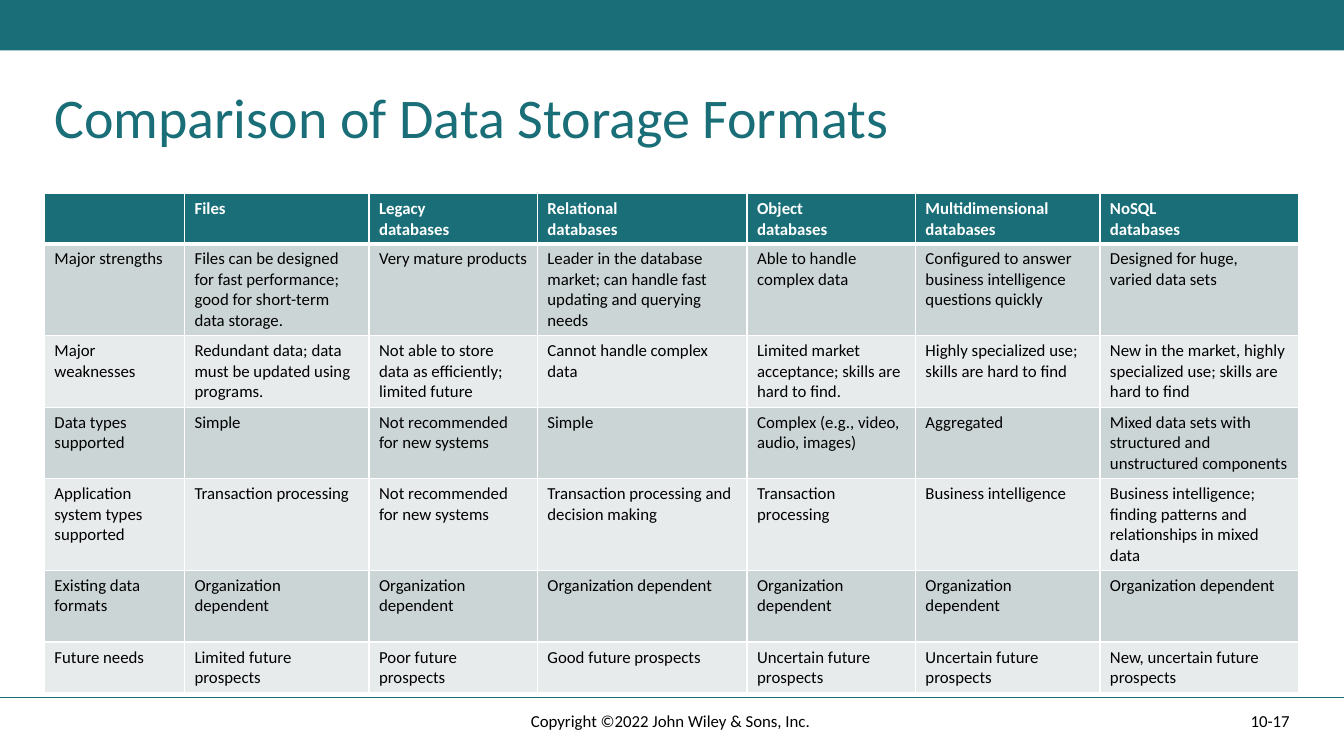
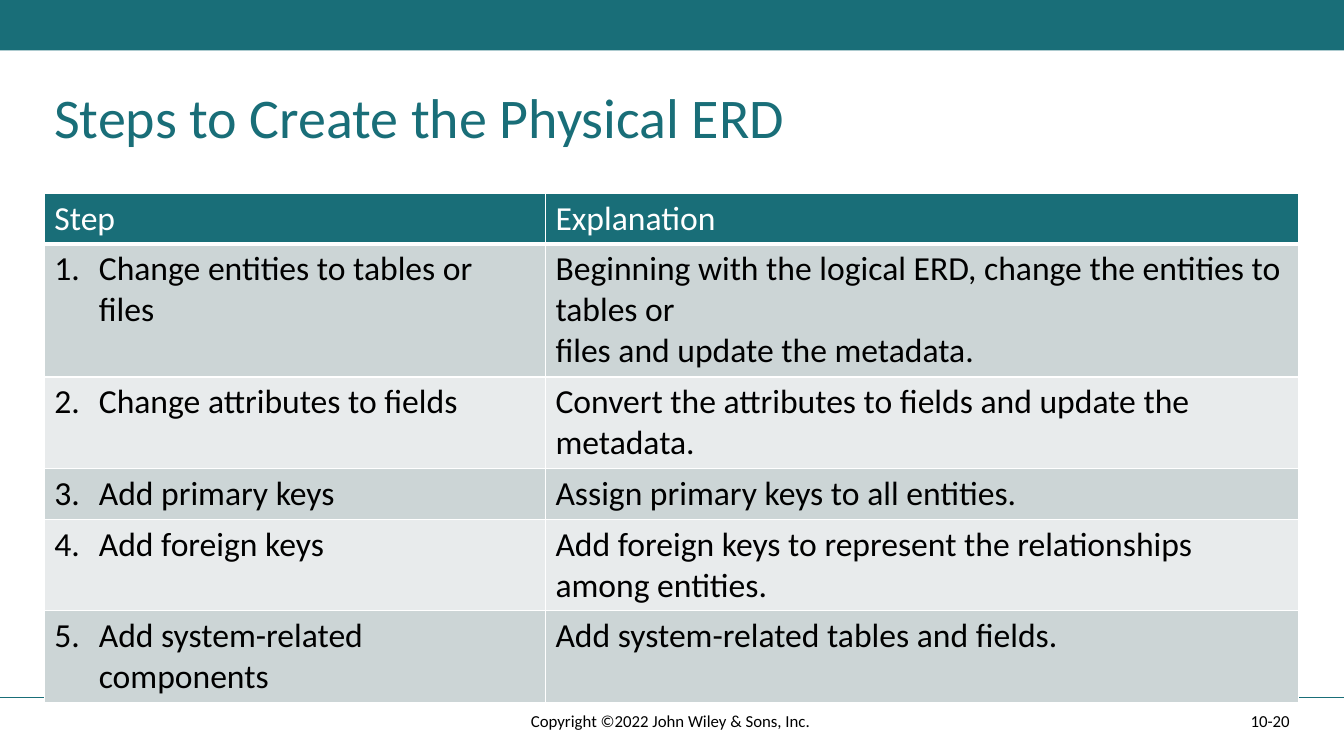
from copy import deepcopy

from lxml import etree
from pptx import Presentation
from pptx.dml.color import RGBColor
from pptx.enum import shapes, text
from pptx.oxml import ns
from pptx.util import Inches, Pt

# Shared look
TEAL = RGBColor(0x19, 0x6E, 0x78)
BAND_DARK = RGBColor(0xCC, 0xD5, 0xD6)
BAND_LIGHT = RGBColor(0xE8, 0xEB, 0xEC)
WHITE = RGBColor(0xFF, 0xFF, 0xFF)
BLACK = RGBColor(0, 0, 0)
FONT = "Calibri"
COPYRIGHT = "Copyright ©2022 John Wiley & Sons, Inc. "

SLIDE_W, SLIDE_H = 13.33, 7.5
TITLE_BOX = (0.44, 0.85, 12.44, 1.07)
TABLE_BOX = (0.44, 1.92, 12.44)
NUMBER_BOX = (9.42, 6.95, 3.47, 0.4)
COPYRIGHT_BOX = (4.42, 6.95, 4.5, 0.4)
FOOTER_RULE_Y = 6.92
STEP_INDENT = 0.44

# Content
FORMATS_COLUMNS = [1.39, 1.83, 1.67, 2.08, 1.67, 1.83, 1.97]
FORMATS_HEIGHTS = [0.5, 0.91, 0.71, 0.71, 0.91, 0.71, 0.5]
FORMATS = [
    ["", "Files", "Legacy\vdatabases", "Relational\vdatabases",
     "Object\vdatabases", "Multidimensional\vdatabases", "NoSQL\vdatabases"],
    ["Major strengths",
     "Files can be designed for fast performance; good for short-term data storage.",
     "Very mature products",
     "Leader in the database market; can handle fast updating and querying needs",
     "Able to handle complex data",
     "Configured to answer business intelligence questions quickly",
     "Designed for huge,\nvaried data sets"],
    ["Major weaknesses",
     "Redundant data; data must be updated using programs.",
     "Not able to store data as efficiently; limited future",
     "Cannot handle complex data",
     "Limited market\nacceptance; skills are hard to find.",
     "Highly specialized use; skills are hard to find",
     "New in the market, highly specialized use; skills are hard to find"],
    ["Data types supported", "Simple", "Not recommended for new systems", "Simple",
     "Complex (e.g., video, audio, images)", "Aggregated",
     "Mixed data sets with structured and unstructured components"],
    ["Application system types supported", "Transaction processing",
     "Not recommended for new systems",
     "Transaction processing and decision making", "Transaction processing",
     "Business intelligence",
     "Business intelligence; finding patterns and relationships in mixed data"],
    ["Existing data formats"] + ["Organization dependent"] * 6,
    ["Future needs", "Limited future prospects", "Poor future prospects",
     "Good future prospects", "Uncertain future prospects",
     "Uncertain future prospects", "New, uncertain future prospects"],
]

STEPS_COLUMNS = [4.97, 7.47]
STEPS_HEIGHTS = [0.5, 1.32, 0.91, 0.5, 0.91, 0.91]
STEPS = [
    ["Step", "Explanation"],
    ["Change entities to tables or files",
     "Beginning with the logical ERD, change the entities to tables or\n"
     "files and update the metadata."],
    ["Change attributes to fields",
     "Convert the attributes to fields and update the metadata."],
    ["Add primary keys", "Assign primary keys to all entities."],
    ["Add foreign keys",
     "Add foreign keys to represent the relationships among entities."],
    ["Add system-related components", "Add system-related tables and fields."],
]


def format_runs(frame, size, color, bold=False):
    for paragraph in frame.paragraphs:
        for run in paragraph.runs:
            run.font.name = FONT
            run.font.size = Pt(size)
            run.font.bold = bold
            run.font.color.rgb = color
        # A line break takes the format of the text beside it
        for line_break in paragraph._p.findall(ns.qn("a:br")):
            line_break.append(deepcopy(paragraph.runs[0]._r.rPr))


def add_label(slide, box, words, size, color, align, anchor):
    frame = slide.shapes.add_textbox(*map(Inches, box)).text_frame
    frame.word_wrap = True
    frame.vertical_anchor = anchor
    frame.text = words
    frame.paragraphs[0].alignment = align
    format_runs(frame, size, color)
    return frame


def add_frame(slide, title):
    """Top band, footer rule and title."""
    band = slide.shapes.add_shape(shapes.MSO_SHAPE.RECTANGLE, 0, 0,
                                  Inches(SLIDE_W), Inches(0.5))
    band.shadow.inherit = False
    band.fill.solid()
    band.fill.fore_color.rgb = TEAL
    band.line.fill.background()

    rule = slide.shapes.add_connector(
        shapes.MSO_CONNECTOR.STRAIGHT, 0, Inches(FOOTER_RULE_Y),
        Inches(SLIDE_W), Inches(FOOTER_RULE_Y))
    rule.line.color.rgb = TEAL
    rule.line.width = Pt(1)
    etree.SubElement(rule._element.spPr, ns.qn("a:effectLst"))

    heading = add_label(slide, TITLE_BOX, title, 40, TEAL,
                        text.PP_ALIGN.LEFT, text.MSO_ANCHOR.TOP)
    heading.paragraphs[0].line_spacing = 0.9


def add_footer(slide, number):
    middle = text.MSO_ANCHOR.MIDDLE
    add_label(slide, NUMBER_BOX, number, 12, BLACK, text.PP_ALIGN.RIGHT, middle)
    add_label(slide, COPYRIGHT_BOX, COPYRIGHT, 12, BLACK,
              text.PP_ALIGN.CENTER, middle)


def set_borders(cell, top, bottom):
    properties = cell._tc.get_or_add_tcPr()
    for side, width in (("L", 1), ("R", 1), ("T", top), ("B", bottom)):
        border = etree.SubElement(properties, ns.qn(f"a:ln{side}"), w=str(Pt(width)))
        fill = etree.SubElement(border, ns.qn("a:solidFill"))
        etree.SubElement(fill, ns.qn("a:srgbClr"), val=str(WHITE))


def number_step(paragraph, number):
    properties = paragraph._p.get_or_add_pPr()
    properties.set("marL", str(Inches(STEP_INDENT)))
    properties.set("indent", str(-Inches(STEP_INDENT)))
    etree.SubElement(properties, ns.qn("a:buFont"), typeface="+mj-lt")
    etree.SubElement(properties, ns.qn("a:buAutoNum"),
                     type="arabicPeriod", startAt=str(number))


def add_banded_table(slide, box, rows, widths, heights, size, header_bold):
    left, top, width = map(Inches, box)
    table = slide.shapes.add_table(len(rows), len(widths), left, top, width,
                                   Inches(sum(heights))).table
    table.horz_banding = False
    for column, column_width in zip(table.columns, widths):
        column.width = Inches(column_width)
    for r, (words, height) in enumerate(zip(rows, heights)):
        table.rows[r].height = Inches(height)
        header = r == 0
        band = TEAL if header else (BAND_LIGHT, BAND_DARK)[r % 2]
        for c, entry in enumerate(words):
            cell = table.cell(r, c)
            # The header is set off by a thicker border
            set_borders(cell, 3 if r == 1 else 1, 3 if header else 1)
            cell.fill.solid()
            cell.fill.fore_color.rgb = band
            cell.text_frame.text = entry
            format_runs(cell.text_frame, size, WHITE if header else BLACK,
                        header and header_bold)
    return table


def build_formats_slide(slide):
    add_frame(slide, "Comparison of Data Storage Formats")
    add_banded_table(slide, TABLE_BOX, FORMATS, FORMATS_COLUMNS,
                     FORMATS_HEIGHTS, 12, True)
    add_footer(slide, "10-17")


def build_steps_slide(slide):
    add_frame(slide, "Steps to Create the Physical ERD")
    steps = add_banded_table(slide, TABLE_BOX, STEPS, STEPS_COLUMNS,
                             STEPS_HEIGHTS, 24, False)
    for number in range(1, len(STEPS)):
        number_step(steps.cell(number, 0).text_frame.paragraphs[0], number)
    add_footer(slide, "10-20")


def main():
    deck = Presentation()
    deck.slide_width, deck.slide_height = Inches(SLIDE_W), Inches(SLIDE_H)
    blank = deck.slide_layouts[6]
    for build in (build_formats_slide, build_steps_slide):
        build(deck.slides.add_slide(blank))
    deck.save("out.pptx")


if __name__ == "__main__":
    main()
